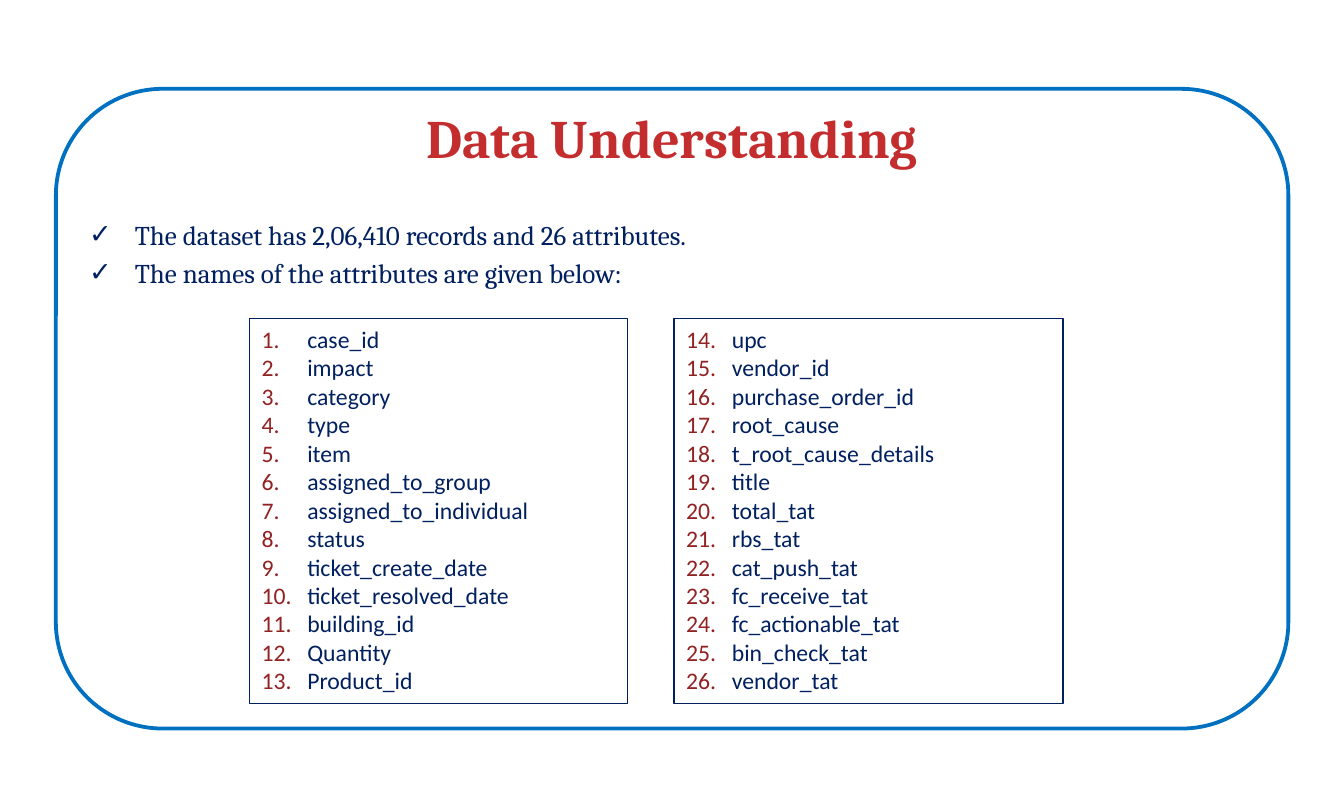
from lxml.etree import SubElement
from pptx import Presentation
from pptx.dml.color import RGBColor
from pptx.enum.shapes import MSO_SHAPE
from pptx.enum.text import MSO_ANCHOR, PP_ALIGN
from pptx.oxml.ns import qn
from pptx.util import Pt

COLORS = {"heading": "C32D2E", "navy": "002060", "border": "0070C0", "number": "922222"}
FORMATS = {
    "heading": {"name": "Cambria", "size": Pt(32), "bold": True},
    "statement": {"name": "Cambria", "size": Pt(16)},
    "attribute": {"name": "Calibri", "size": Pt(14)},
}
INDENT = Pt(27)


def write_lines(frame, lines, style, color, layout, bullets=()):
    frame.word_wrap = True
    for index, line in enumerate(lines):
        paragraph = frame.paragraphs[0] if index == 0 else frame.add_paragraph()
        for key, value in layout.items():
            setattr(paragraph, key, value)
        run = paragraph.add_run()
        run.text = line
        for key, value in FORMATS[style].items():
            setattr(run.font, key, value)
        run.font.color.rgb = RGBColor.from_string(COLORS[color])
        if bullets:
            properties = paragraph._p.get_or_add_pPr()
            properties.set("marL", str(INDENT))
            properties.set("indent", str(-INDENT))
            for tag, attributes in bullets:
                bullet = SubElement(properties, qn(tag), attributes)
                if tag == "a:buClr":
                    SubElement(bullet, qn("a:srgbClr"), {"val": COLORS["number"]})


def add_outline(kind, left, top, width, height, color, weight):
    outline = slide.shapes.add_shape(kind, Pt(left), Pt(top), Pt(width), Pt(height))
    outline.shadow.inherit = False
    outline.fill.background()
    outline.line.color.rgb = RGBColor.from_string(COLORS[color])
    outline.line.width = Pt(weight)
    return outline


presentation = Presentation()
presentation.slide_width = Pt(793.75)
presentation.slide_height = Pt(468)
slide = presentation.slides.add_slide(presentation.slide_layouts[6])

heading = slide.shapes.add_textbox(Pt(39.8), Pt(39), Pt(714.2), Pt(83.5))
heading.text_frame.vertical_anchor = MSO_ANCHOR.MIDDLE
write_lines(heading.text_frame, ["Data Understanding"], "heading", "heading",
            {"alignment": PP_ALIGN.CENTER})

statements = slide.shapes.add_textbox(Pt(45.6), Pt(125.4), Pt(702.6), Pt(50))
write_lines(
    statements.text_frame,
    ["The dataset has 2,06,410 records and 26 attributes.",
     "The names of the attributes are given below:"],
    "statement", "navy",
    {"alignment": PP_ALIGN.JUSTIFY, "space_before": Pt(3.2)},
    [("a:buFont", {"typeface": "Calibri"}), ("a:buChar", {"char": "✓"})],
)

add_outline(MSO_SHAPE.ROUNDED_RECTANGLE, 33, 52.5, 727.9, 378, "border", 2.25)

attributes_by_column = [
    (147.4, 223.2, ["case_id", "impact", "category", "type", "item", "assigned_to_group",
                    "assigned_to_individual", "status", "ticket_create_date",
                    "ticket_resolved_date", "building_id", "Quantity", "Product_id"]),
    (398.1, 229.7, ["upc", "vendor_id", "purchase_order_id", "root_cause",
                    "t_root_cause_details", "title", "total_tat", "rbs_tat", "cat_push_tat",
                    "fc_receive_tat", "fc_actionable_tat", "bin_check_tat", "vendor_tat"]),
]
first_number = 1
for left, width, attribute_names in attributes_by_column:
    column = add_outline(MSO_SHAPE.RECTANGLE, left, 188.4, width, 227.3, "navy", 0.75)
    column.text_frame.vertical_anchor = MSO_ANCHOR.TOP
    numbering = {"type": "arabicPeriod", "startAt": str(first_number)}
    write_lines(column.text_frame, attribute_names, "attribute", "navy",
                {"alignment": PP_ALIGN.LEFT},
                [("a:buClr", {}), ("a:buFont", {"typeface": "Calibri"}),
                 ("a:buAutoNum", numbering)])
    first_number += len(attribute_names)

presentation.save("out.pptx")
